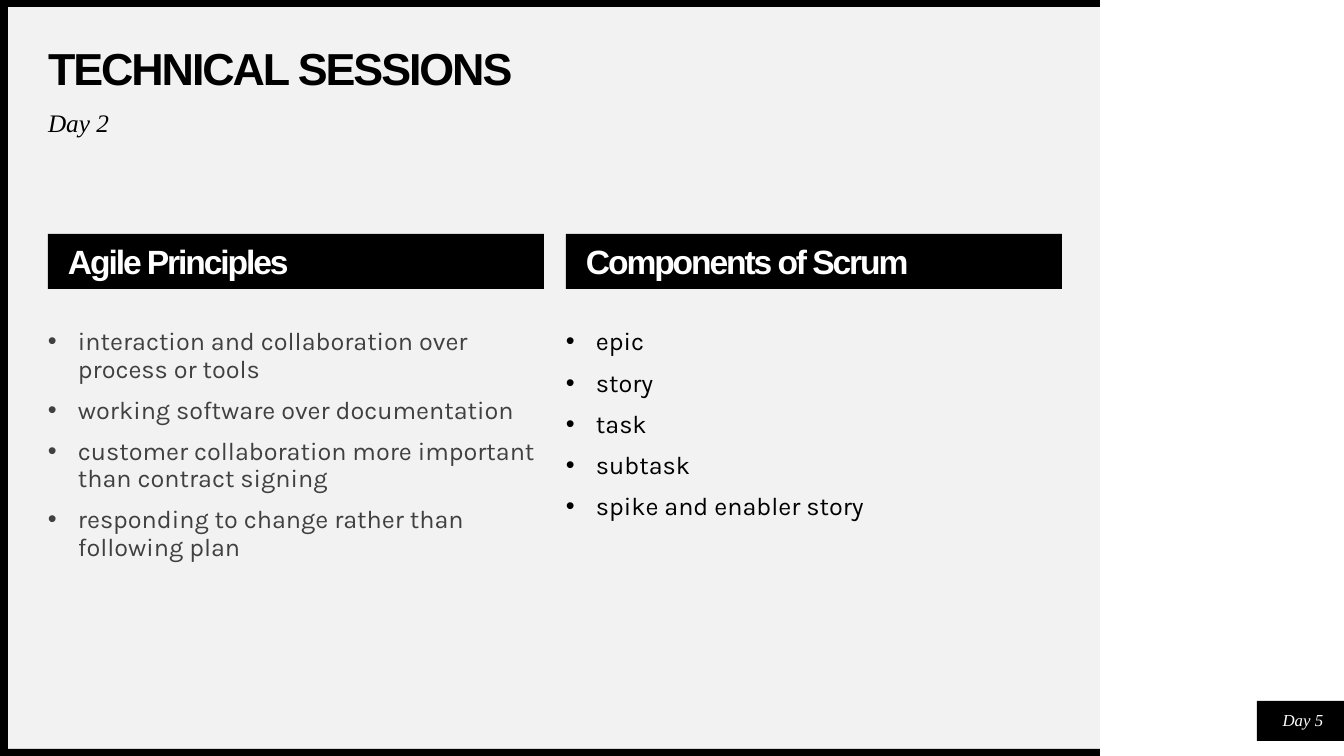
from lxml import etree
from pptx import Presentation
from pptx import util as u
from pptx.dml.color import RGBColor
from pptx.enum import shapes, text
from pptx.oxml import ns

PX = 914400 / 100.8
PAGE_WIDTH, PAGE_HEIGHT = 1344, 756
BLACK = RGBColor(0x00, 0x00, 0x00)
WHITE = RGBColor(0xFF, 0xFF, 0xFF)
CHARCOAL = RGBColor(0x40, 0x40, 0x40)
LIGHT_GREY = RGBColor(0xF2, 0xF2, 0xF2)

TITLE = {"name": "Arial", "size": u.Pt(32), "bold": True}
HEADING = {"name": "Arial", "size": u.Pt(24), "bold": True}
SUBTITLE = {"name": "Times New Roman", "size": u.Pt(18), "italic": True}
DAY_LABEL = {"name": "Times New Roman", "size": u.Pt(12), "italic": True}
LIST = {"name": "Karla", "size": u.Pt(18)}
BODY_PARAGRAPH = {"alignment": text.PP_ALIGN.LEFT, "line_spacing": 0.9, "space_before": u.Pt(10)}
TITLE_PARAGRAPH = {**BODY_PARAGRAPH, "space_before": u.Pt(0)}
LABEL_PARAGRAPH = {"alignment": text.PP_ALIGN.CENTER}

COLUMNS = [
    ("Agile Principles", CHARCOAL, [
        "interaction and collaboration over process or tools",
        "working software over documentation",
        "customer collaboration more important than contract signing",
        "responding to change rather than following plan",
    ]),
    ("Components of Scrum", BLACK, [
        "epic", "story", "task", "subtask", "spike and enabler story",
    ]),
]


def px(length):
    return u.Emu(round(length * PX))


def apply(target, values):
    for name, value in values.items():
        setattr(target, name, value)


def place(shape, box):
    apply(shape, dict(zip(("left", "top", "width", "height"), map(px, box))))


def add_bullet(para):
    properties = para._p.get_or_add_pPr()
    properties.set("marL", str(px(30)))
    properties.set("indent", str(px(-30)))
    font = etree.SubElement(properties, ns.qn("a:buFont"))
    font.set("typeface", "Arial")
    bullet = etree.SubElement(properties, ns.qn("a:buChar"))
    bullet.set("char", "•")


def write(shape, lines, font, color, paragraph=BODY_PARAGRAPH, spacing=0,
          bullets=False, anchor=text.MSO_ANCHOR.MIDDLE, inset=(0, 0)):
    frame = shape.text_frame
    apply(frame, {
        "word_wrap": True, "auto_size": text.MSO_AUTO_SIZE.NONE,
        "vertical_anchor": anchor, "margin_left": px(inset[0]),
        "margin_top": px(inset[1]), "margin_right": 0, "margin_bottom": 0,
    })
    for index, line in enumerate(lines):
        para = frame.add_paragraph() if index else frame.paragraphs[0]
        apply(para, paragraph)
        span = para.add_run()
        span.text = line
        apply(span.font, font)
        span.font.color.rgb = color
        if spacing:
            span._r.get_or_add_rPr().set("spc", str(spacing))
        if bullets:
            add_bullet(para)


def add_block(page, box, color):
    block = page.shapes.add_shape(shapes.MSO_SHAPE.RECTANGLE, *map(px, box))
    block.shadow.inherit = False
    block.fill.solid()
    block.fill.fore_color.rgb = color
    block.line.fill.background()
    return block


def add_text(page, box, lines, font, color, **options):
    label = page.shapes.add_textbox(*map(px, box))
    write(label, lines, font, color, **options)


def add_frame(page, box):
    left, top, width, height = box
    edge = 7
    add_block(page, (left + 8, top + edge, width - 8, height - 2 * edge), LIGHT_GREY)
    for bar_top in (top, top + height - edge):
        add_block(page, (left, bar_top, width, edge), BLACK)
    add_block(page, (left, top, 8, height), BLACK)


def add_header(page, box):
    left, top, width, height = box
    title = page.shapes.title
    place(title, (left, top, width, 47))
    write(title, ["TECHNICAL SESSIONS"], TITLE, BLACK,
          paragraph=TITLE_PARAGRAPH, spacing=-150)
    add_text(page, (left, top + 64, width, height - 64), ["Day 2"], SUBTITLE, BLACK,
             anchor=text.MSO_ANCHOR.TOP)


def add_column(page, box, heading, color, items):
    left, top, width, height = box
    banner = add_block(page, (left, top, width, 55), BLACK)
    write(banner, [heading], HEADING, WHITE, spacing=-150, inset=(20, 4))
    add_text(page, (left, top + 95, width, height - 95), items, LIST, color,
             bullets=True, anchor=text.MSO_ANCHOR.TOP)


def add_columns(page, box):
    left, top, width, height = box
    gap = 22
    column_width = (width - gap * (len(COLUMNS) - 1)) // len(COLUMNS)
    for index, column in enumerate(COLUMNS):
        column_left = left + index * (column_width + gap)
        add_column(page, (column_left, top, column_width, height), *column)


def add_day_label(page, box):
    left, top, width, height = box
    add_block(page, box, BLACK)
    add_text(page, (left + 5, top + 6, width - 5, 25), ["Day 5"], DAY_LABEL, WHITE,
             paragraph=LABEL_PARAGRAPH)


def main():
    deck = Presentation()
    apply(deck, {"slide_width": px(PAGE_WIDTH), "slide_height": px(PAGE_HEIGHT)})
    page = deck.slides.add_slide(deck.slide_layouts[5])
    add_frame(page, (0, 0, 1100, PAGE_HEIGHT))
    add_header(page, (48, 47, 1014, 103))
    add_columns(page, (48, 234, 1014, 373))
    add_day_label(page, (1257, 701, 87, 40))
    tree = page.shapes.title._element.getparent()
    tree.insert(6, page.shapes.title._element)
    deck.save("out.pptx")


if __name__ == "__main__":
    main()
